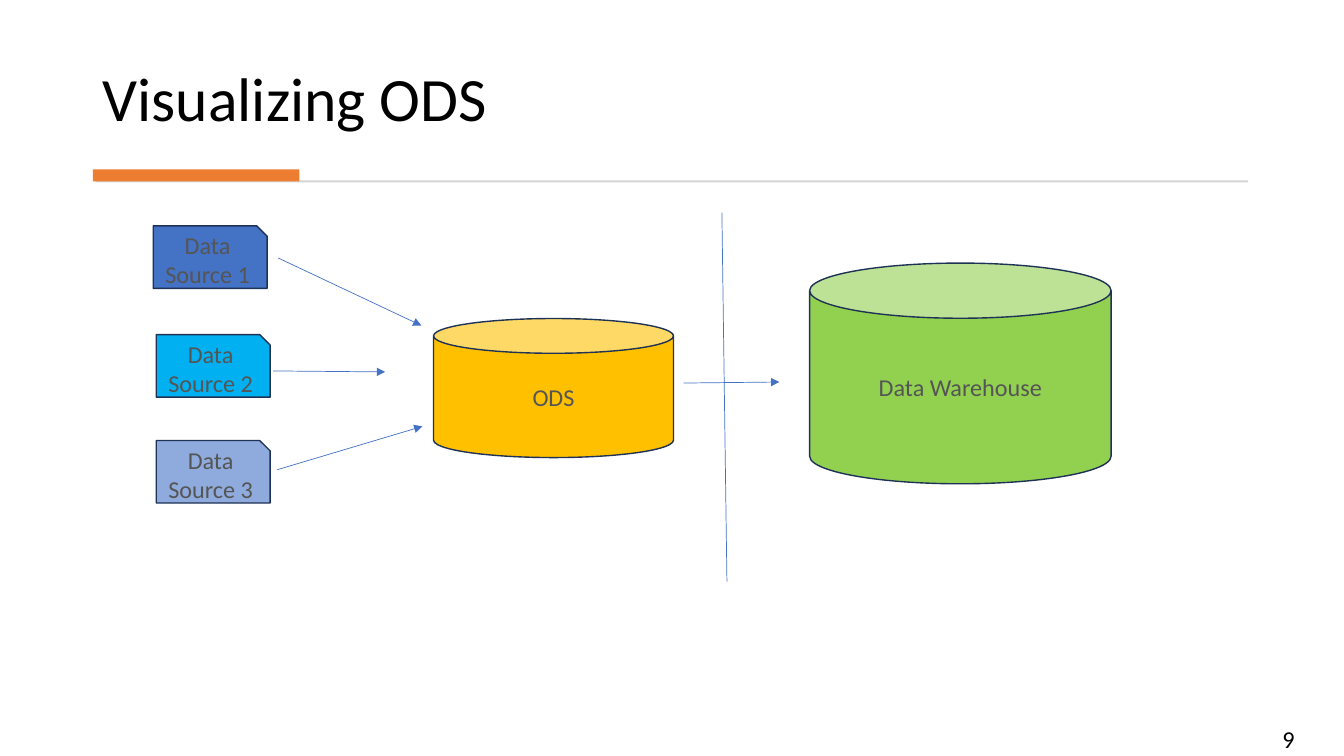
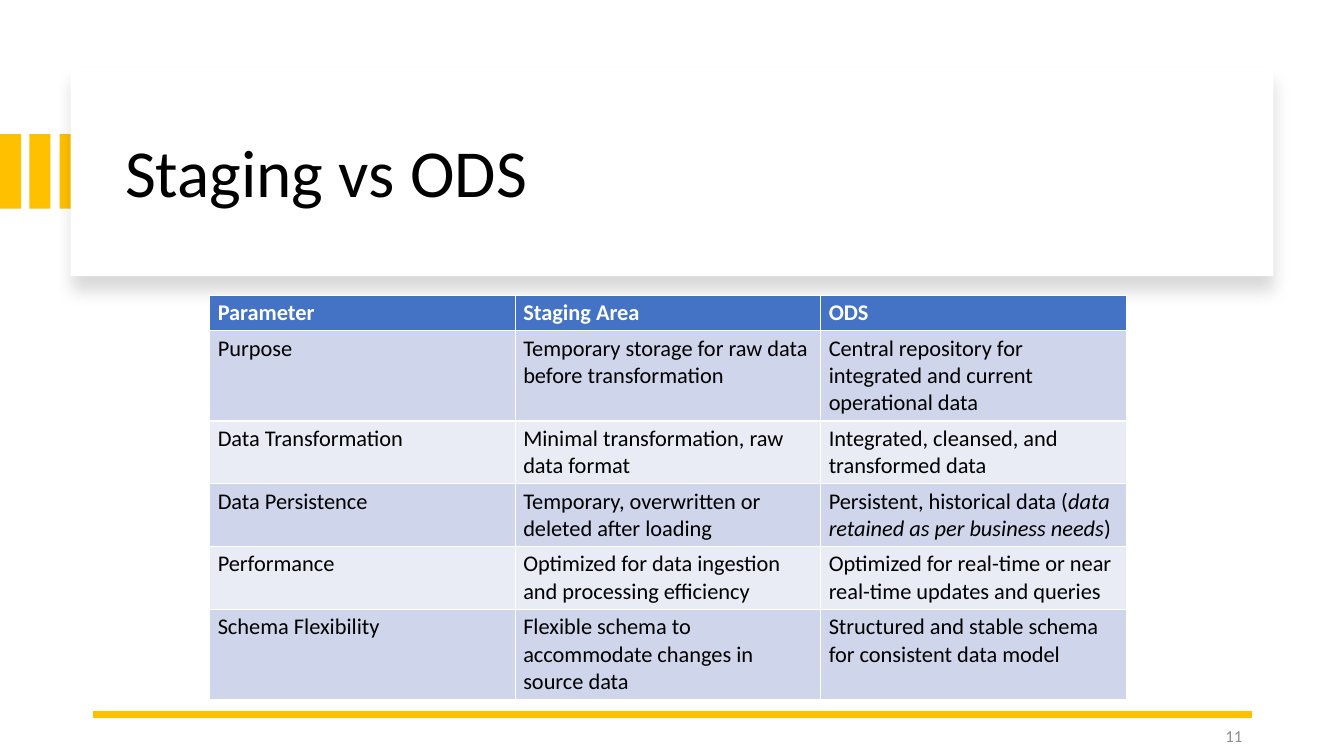
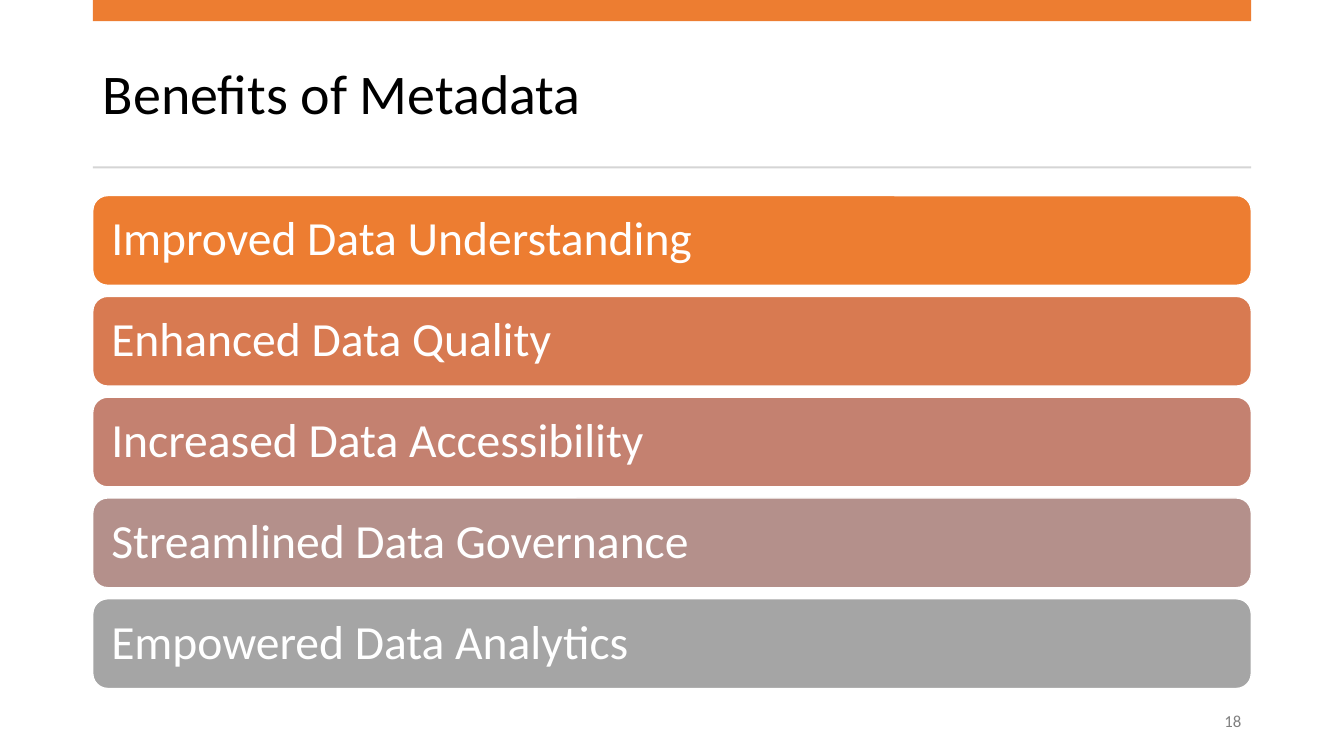
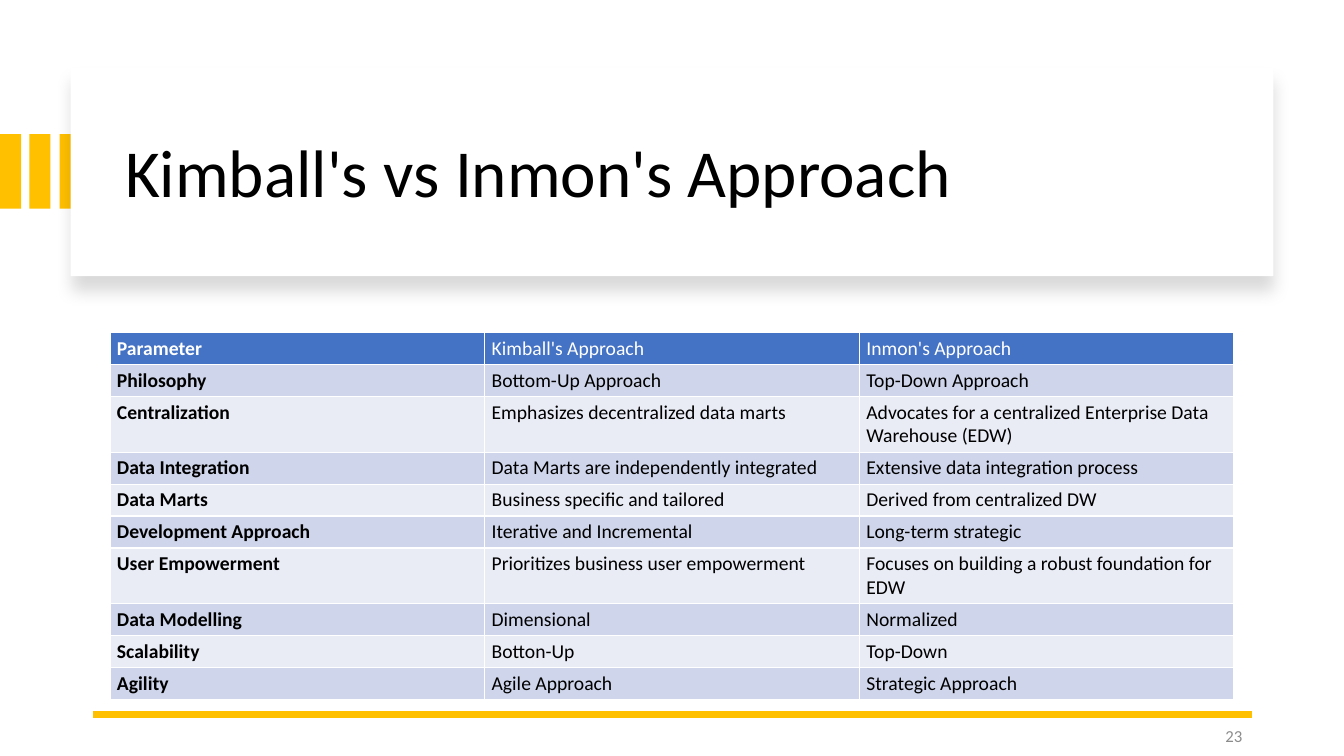
"""Build four slides on operational data stores, metadata and warehouse approaches."""
from lxml.etree import SubElement
from pptx import Presentation
from pptx.dml.color import RGBColor
from pptx.enum.shapes import MSO_CONNECTOR as Connector, MSO_SHAPE as Preset
from pptx.enum.text import MSO_ANCHOR as Anchor, MSO_AUTO_SIZE as AutoSize, PP_ALIGN as Align
from pptx.oxml.ns import qn
from pptx.util import Inches, Pt

rgb = RGBColor.from_string
FONT = "Calibri"
BLACK, WHITE, RULE, ORANGE = "000000", "FFFFFF", "D5D5D5", "ED7D31"
GOLD, BLUE, OUTLINE, LABEL = "FFC000", "4472C4", "1E3256", "555555"
BANDS = ["E9EBF5", "CFD5EA"]


def write(frame, text, size, color, bold=False, **layout):
    """Fill a text frame with one paragraph; words between asterisks are italic."""
    para = frame.paragraphs[0]
    for name, value in layout.items():
        setattr(para, name, value)
    for index, piece in enumerate(text.split("*")):
        span = para.add_run()
        span.text = piece
        style = {"name": FONT, "size": Pt(size), "bold": bold, "italic": index % 2 == 1}
        for name, value in style.items():
            setattr(span.font, name, value)
        span.font.color.rgb = rgb(color)


def draw(page, preset, box, fill, line=None):
    """Add a flat preset shape."""
    shape = page.shapes.add_shape(preset, *map(Inches, box))
    shape.shadow.inherit = False
    shape.fill.solid()
    shape.fill.fore_color.rgb = rgb(fill)
    if line:
        shape.line.color.rgb = rgb(line)
        shape.line.width = Pt(1)
    else:
        shape.line.fill.background()
    return shape


deck = Presentation()
deck.slide_width, deck.slide_height = Inches(13.33), Inches(7.5)

banner_title = {"box": (1.14, 0.89, 11.13, 1.7), "size": 48, "anchor": Anchor.MIDDLE}
banner_number = {"box": (9.42, 7.1, 3, 0.4), "size": 12, "color": "8C8C8C",
                 "anchor": Anchor.MIDDLE, "align": Align.RIGHT}
outlines = [
    ("Visualizing ODS", {"box": (0.92, 0.28, 11.49, 1.11), "size": 44, "anchor": Anchor.BOTTOM},
     "9", {"box": (12.62, 7.14, 0.7, 0.36), "size": 17.3, "color": BLACK,
           "anchor": Anchor.TOP, "align": Align.LEFT}),
    ("Staging vs ODS", banner_title, "11", banner_number),
    ("Benefits of Metadata", {"box": (0.92, 0.37, 11.49, 1.18), "size": 40, "anchor": Anchor.MIDDLE},
     "18", {**banner_number, "box": (9.53, 6.95, 2.88, 0.4), "color": "808080"}),
    ("Kimball's vs Inmon's Approach", banner_title, "23", banner_number),
]
pages = []
for heading, title_style, number, number_style in outlines:
    page = deck.slides.add_slide(deck.slide_layouts[5])
    pages.append(page)
    title = page.shapes.title
    title.left, title.top, title.width, title.height = map(Inches, title_style["box"])
    frame_format = {"word_wrap": True, "auto_size": AutoSize.NONE,
                    "vertical_anchor": title_style["anchor"]}
    for name, value in frame_format.items():
        setattr(title.text_frame, name, value)
    write(title.text_frame, heading, title_style["size"], BLACK,
          alignment=Align.LEFT, line_spacing=0.9)
    frame = page.shapes.add_textbox(*map(Inches, number_style["box"])).text_frame
    frame.word_wrap = True
    frame.vertical_anchor = number_style["anchor"]
    write(frame, number, number_style["size"], number_style["color"],
          alignment=number_style["align"], space_after=Pt(6))

flow_page, staging_page, benefits_page, approach_page = pages

draw(flow_page, Preset.RECTANGLE, (0.95, 1.79, 11.43, 0.02), RULE)
draw(flow_page, Preset.RECTANGLE, (0.92, 1.68, 2.05, 0.12), ORANGE)
stores = [
    ("Data Source 1", Preset.SNIP_1_RECTANGLE, (1.52, 2.24, 1.13, 0.62), BLUE),
    ("Data Source 2", Preset.SNIP_1_RECTANGLE, (1.55, 3.32, 1.13, 0.62), "00B0F0"),
    ("Data Source 3", Preset.SNIP_1_RECTANGLE, (1.55, 4.37, 1.13, 0.62), "8FAADC"),
    ("ODS", Preset.CAN, (4.3, 3.16, 2.38, 1.38), GOLD),
    ("Data Warehouse", Preset.CAN, (8.03, 2.61, 2.99, 2.19), "92D050"),
]
for label, preset, box, fill in stores:
    store = draw(flow_page, preset, box, fill, OUTLINE)
    store.text_frame.vertical_anchor = Anchor.MIDDLE
    write(store.text_frame, label, 17.3, LABEL, alignment=Align.CENTER, space_after=Pt(6))

for page in (staging_page, approach_page):
    for left in (0, 0.29, 0.59):
        draw(page, Preset.RECTANGLE, (left, 1.33, 0.21, 0.74), GOLD)
    card = draw(page, Preset.RECTANGLE, (0.7, 0.67, 11.93, 2.07), WHITE)
    effects = card.element.spPr.find(qn("a:effectLst"))
    shadow = SubElement(effects, qn("a:outerShdw"), blurRad=str(Pt(11)), dist=str(Pt(10)),
                        dir="5400000", algn="t", rotWithShape="0")
    shade = SubElement(shadow, qn("a:srgbClr"), val=BLACK)
    SubElement(shade, qn("a:alpha"), val="15000")
    page.shapes.element.append(page.shapes.title.element)

draw(benefits_page, Preset.RECTANGLE, (0.92, 0, 11.49, 0.21), ORANGE)
draw(benefits_page, Preset.RECTANGLE, (0.92, 1.65, 11.49, 0.02), RULE)
benefits = [
    ("Improved Data Understanding", ORANGE),
    ("Enhanced Data Quality", "D87A51"),
    ("Increased Data Accessibility", "C48170"),
    ("Streamlined Data Governance", "B4908B"),
    ("Empowered Data Analytics", "A5A5A5"),
]
for index, (label, fill) in enumerate(benefits):
    bar = draw(benefits_page, Preset.ROUNDED_RECTANGLE, (0.92, 1.94 + index, 11.49, 0.89), fill, WHITE)
    bar.text_frame.margin_left = Inches(0.14)
    bar.text_frame.vertical_anchor = Anchor.MIDDLE
    write(bar.text_frame, label, 34, WHITE, alignment=Align.LEFT, line_spacing=0.9)

staging_rows = [
    ("Parameter", "Staging Area", "ODS"),
    ("Purpose", "Temporary storage for raw data before transformation",
     "Central repository for integrated and current operational data"),
    ("Data Transformation", "Minimal transformation, raw data format",
     "Integrated, cleansed, and transformed data"),
    ("Data Persistence", "Temporary, overwritten or deleted after loading",
     "Persistent, historical data (*data retained as per business needs*)"),
    ("Performance", "Optimized for data ingestion and processing efficiency",
     "Optimized for real-time or near real-time updates and queries"),
    ("Schema Flexibility", "Flexible schema to accommodate changes in source data",
     "Structured and stable schema for consistent data model"),
]
approach_rows = [
    ("Parameter", "Kimball's Approach", "Inmon's Approach"),
    ("Philosophy", "Bottom-Up Approach", "Top-Down Approach"),
    ("Centralization", "Emphasizes decentralized data marts",
     "Advocates for a centralized Enterprise Data Warehouse (EDW)"),
    ("Data Integration", "Data Marts are independently integrated",
     "Extensive data integration process"),
    ("Data Marts", "Business specific and tailored", "Derived from centralized DW"),
    ("Development Approach", "Iterative and Incremental", "Long-term strategic"),
    ("User Empowerment", "Prioritizes business user empowerment",
     "Focuses on building a robust foundation for EDW"),
    ("Data Modelling", "Dimensional", "Normalized"),
    ("Scalability", "Botton-Up", "Top-Down"),
    ("Agility", "Agile Approach", "Strategic Approach"),
]
tables = [
    (staging_page, staging_rows, (2.08, 2.93, 9.09, 3.94), 16, 0.08, "row",
     [0.35, 0.59, 0.59, 0.59, 0.59, 0.82]),
    (approach_page, approach_rows, (1.09, 3.3, 11.15, 3.55), 14, 0.07, "column",
     [0.31, 0.31, 0.52, 0.31, 0.31, 0.31, 0.52, 0.31, 0.31, 0.31]),
]
for page, rows, box, size, margin, bold_first, heights in tables:
    table = page.shapes.add_table(len(rows), 3, *map(Inches, box)).table
    cell_format = {"margin_left": Inches(margin), "margin_right": Inches(margin),
                   "margin_top": Inches(0.04), "margin_bottom": Inches(0.04)}
    for row, (texts, height) in enumerate(zip(rows, heights)):
        table.rows[row].height = Inches(height)
        for column, text in enumerate(texts):
            cell = table.cell(row, column)
            for name, value in cell_format.items():
                setattr(cell, name, value)
            cell.fill.solid()
            cell.fill.fore_color.rgb = rgb(BANDS[row % 2] if row else BLUE)
            bold = (row if bold_first == "row" else column) == 0
            write(cell.text_frame, text, size, BLACK if row else WHITE, bold)

lines = [
    (flow_page, (2.76, 2.56, 4.18, 3.23), BLUE, 0.5, True),
    (flow_page, (2.71, 3.68, 3.82, 3.69), BLUE, 0.5, True),
    (flow_page, (2.75, 4.66, 4.19, 4.23), BLUE, 0.5, True),
    (flow_page, (6.78, 3.8, 7.73, 3.79), BLUE, 0.5, True),
    (flow_page, (7.16, 2.11, 7.21, 5.77), BLUE, 0.5, False),
    (staging_page, (12.42, 7.09, 0.92, 7.09), GOLD, 4.5, False),
    (approach_page, (12.42, 7.09, 0.92, 7.09), GOLD, 4.5, False),
]
for page, ends, color, width, arrow in lines:
    connector = page.shapes.add_connector(Connector.STRAIGHT, *map(Inches, ends))
    connector.line.color.rgb = rgb(color)
    connector.line.width = Pt(width)
    properties = connector.element.spPr
    if arrow:
        SubElement(properties.find(qn("a:ln")), qn("a:tailEnd"), type="triangle")
    SubElement(properties, qn("a:effectLst"))

deck.save("out.pptx")
